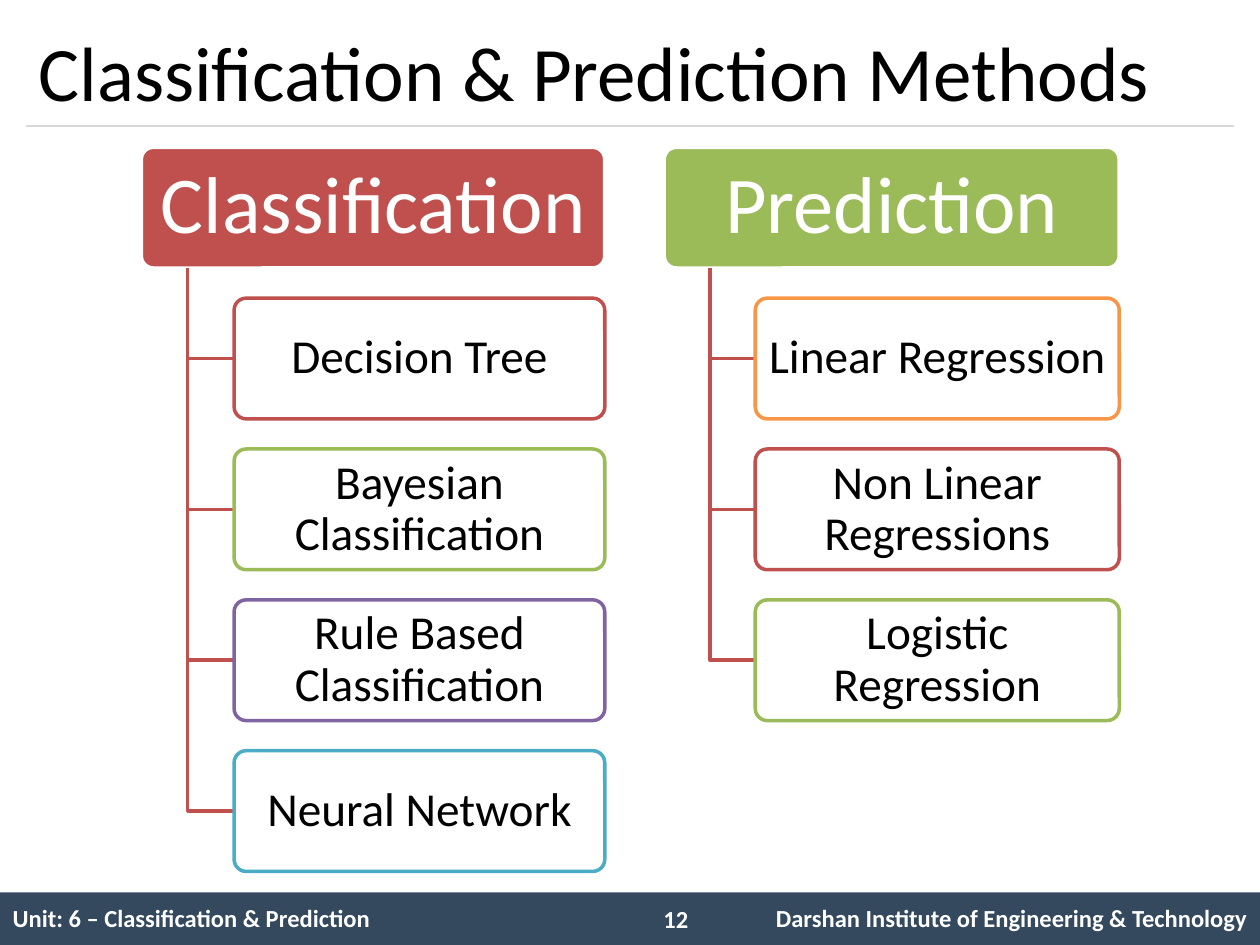
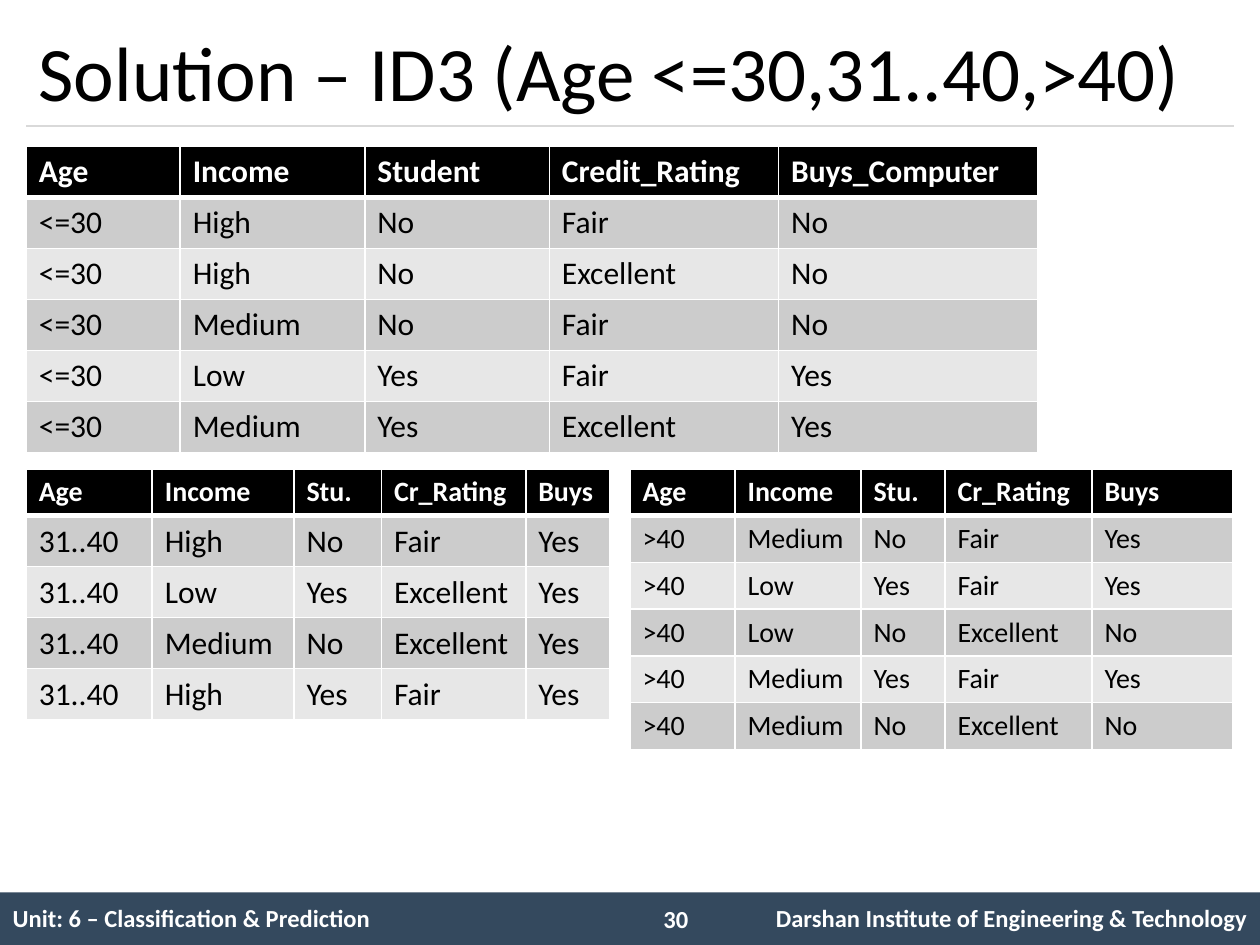
"""Build two lecture slides on classification and prediction."""
from dataclasses import dataclass

from lxml import etree
from pptx import Presentation
from pptx import util as u
from pptx.dml.color import RGBColor
from pptx.enum import shapes, text
from pptx.oxml.ns import qn

Pt = u.Pt


@dataclass(frozen=True)
class Theme:
    font: str = "Calibri"
    black: str = "000000"
    white: str = "FFFFFF"
    band: str = "34495E"
    rule: str = "D9D9D9"
    red: str = "C0504D"
    green: str = "9BBB59"
    purple: str = "8064A2"
    aqua: str = "4BACC6"
    orange: str = "F79646"
    stripes: tuple = ("CCCCCC", "E7E7E7")
    title: int = 44
    heading: int = 46
    method: int = 27
    body: int = 18
    small: int = 16
    footer: int = 14


T = Theme()
WIDTH, HEIGHT = 720, 540
MARGIN = 15
BAND_TOP = 510
NO_STYLE = "{2D5ABB26-0587-4C30-8999-92F81FD0307C}"

TREE_TOP, TREE_PITCH, BOX_HEIGHT = 84.2, 86.2, 69
TREES = [
    (80.8, 264.8, "Classification", T.red, [
        ("Decision Tree", T.red),
        ("Bayesian Classification", T.green),
        ("Rule Based Classification", T.purple),
        ("Neural Network", T.aqua),
    ]),
    (379.6, 260, "Prediction", T.green, [
        ("Linear Regression", T.orange),
        ("Non Linear Regressions", T.red),
        ("Logistic Regression", T.green),
    ]),
]

YOUNG = [
    "Age Income Student Credit_Rating Buys_Computer",
    "<=30 High No Fair No",
    "<=30 High No Excellent No",
    "<=30 Medium No Fair No",
    "<=30 Low Yes Fair Yes",
    "<=30 Medium Yes Excellent Yes",
]
MIDDLE = [
    "Age Income Stu. Cr_Rating Buys",
    "31..40 High No Fair Yes",
    "31..40 Low Yes Excellent Yes",
    "31..40 Medium No Excellent Yes",
    "31..40 High Yes Fair Yes",
]
SENIOR = [
    "Age Income Stu. Cr_Rating Buys",
    ">40 Medium No Fair Yes",
    ">40 Low Yes Fair Yes",
    ">40 Low No Excellent No",
    ">40 Medium Yes Fair Yes",
    ">40 Medium No Excellent No",
]


def rgb(color):
    return RGBColor.from_string(color)


def write(tf, words, size, color, bold=False, align=text.PP_ALIGN.LEFT):
    p = tf.paragraphs[0]
    p.alignment = align
    r = p.add_run()
    r.text = words
    r.font.name, r.font.size, r.font.bold = T.font, Pt(size), bold
    r.font.color.rgb = rgb(color)
    return p


def add_text(s, x, y, w, h, words, size, color, bold=False):
    tf = s.shapes.add_textbox(Pt(x), Pt(y), Pt(w), Pt(h)).text_frame
    tf.word_wrap = True
    tf.vertical_anchor = text.MSO_ANCHOR.MIDDLE
    write(tf, words, size, color, bold)


def add_block(s, kind, x, y, w, h, fill, line=None):
    sp = s.shapes.add_shape(kind, Pt(x), Pt(y), Pt(w), Pt(h))
    sp.shadow.inherit = False
    sp.fill.solid()
    sp.fill.fore_color.rgb = rgb(fill)
    if line:
        sp.line.color.rgb = rgb(line)
        sp.line.width = Pt(2)
    else:
        sp.line.fill.background()
    return sp


def add_box(s, x, y, w, words, size, color, fill, line, inset):
    sp = add_block(s, shapes.MSO_SHAPE.ROUNDED_RECTANGLE, x, y, w, BOX_HEIGHT, fill, line)
    sp.adjustments[0] = 0.1
    tf = sp.text_frame
    tf.word_wrap = True
    tf.vertical_anchor = text.MSO_ANCHOR.MIDDLE
    tf.margin_left = tf.margin_right = Pt(inset)
    tf.margin_top = tf.margin_bottom = Pt(inset * 0.6)
    write(tf, words, size, color, align=text.PP_ALIGN.CENTER).line_spacing = 0.9


def add_elbow(s, x, top, bottom, right):
    fb = s.shapes.build_freeform(Pt(x), Pt(top))
    fb.add_line_segments([(Pt(x), Pt(bottom)), (Pt(right), Pt(bottom))], close=False)
    sp = fb.convert_to_shape()
    sp.shadow.inherit = False
    sp.fill.background()
    sp.line.color.rgb = rgb(T.red)
    sp.line.width = Pt(2)


def add_tree(s, x, w, heading, color, methods):
    add_box(s, x, TREE_TOP, w, heading, T.heading, T.white, color, T.white, 7.2)
    trunk, left = x + 0.1 * w, x + 0.2 * w
    for i, (method, line) in enumerate(methods, 1):
        y = TREE_TOP + i * TREE_PITCH
        add_elbow(s, trunk, TREE_TOP + BOX_HEIGHT, y + BOX_HEIGHT / 2, left)
        add_box(s, left, y, 0.8 * w, method, T.method, T.black, T.white, line, 4.3)


def add_grid(s, x, y, cols, heights):
    tbl = s.shapes.add_table(len(heights), len(cols), Pt(x), Pt(y),
                             Pt(sum(cols)), Pt(sum(heights))).table
    tbl.first_row = tbl.horz_banding = False
    tbl._tbl.tblPr.find(qn("a:tableStyleId")).text = NO_STYLE
    for col, w in zip(tbl.columns, cols):
        col.width = Pt(w)
    for row, h in zip(tbl.rows, heights):
        row.height = Pt(h)
    return tbl


def add_border(cell, side, width):
    ln = etree.SubElement(cell._tc.get_or_add_tcPr(), qn(f"a:ln{side}"), w=str(Pt(width)))
    fill = etree.SubElement(ln, qn("a:solidFill"))
    etree.SubElement(fill, qn("a:srgbClr"), val=T.white)


def add_data(s, x, y, cols, lines, head_size, body_size):
    sizes = [head_size] + [body_size] * (len(lines) - 1)
    tbl = add_grid(s, x, y, cols, [1.22 * size + 7.2 for size in sizes])
    for i, line in enumerate(lines):
        head = i == 0
        fill = T.black if head else T.stripes[(i - 1) % 2]
        for j, value in enumerate(line.split()):
            cell = tbl.cell(i, j)
            for side in "LRTB" if head else "LRB":
                add_border(cell, side, 3 if head and side == "B" else 1)
            cell.fill.solid()
            cell.fill.fore_color.rgb = rgb(fill)
            write(cell.text_frame, value, sizes[i], T.white if head else T.black, head)


def add_rule(s, y):
    c = s.shapes.add_connector(shapes.MSO_CONNECTOR.STRAIGHT,
                               Pt(MARGIN), Pt(y), Pt(WIDTH - MARGIN), Pt(y))
    c.line.color.rgb = rgb(T.rule)
    c.line.width = Pt(0.75)
    etree.SubElement(c._element.spPr, qn("a:effectLst"))


def add_footer(s, number):
    add_block(s, shapes.MSO_SHAPE.RECTANGLE, 0, BAND_TOP, WIDTH, HEIGHT - BAND_TOP, T.band)
    tbl = add_grid(s, 0, BAND_TOP, [366, 48, 306], [30.6])
    for j, words, align in [
        (0, "Unit: 6 – Classification & Prediction", text.PP_ALIGN.LEFT),
        (2, "Darshan Institute of Engineering & Technology", text.PP_ALIGN.RIGHT),
    ]:
        cell = tbl.cell(0, j)
        cell.vertical_anchor = text.MSO_ANCHOR.MIDDLE
        write(cell.text_frame, words, T.footer, T.white, True, align)
    add_text(s, 372, 513, 42, 24.2, number, T.footer, T.white, True)


def add_slide(prs, title, number):
    s = prs.slides.add_slide(prs.slide_layouts[6])
    add_rule(s, 72)
    add_footer(s, number)
    add_text(s, MARGIN, 9, WIDTH - 2 * MARGIN, 63, title, T.title, T.black)
    return s


def main():
    prs = Presentation()
    prs.slide_width, prs.slide_height = Pt(WIDTH), Pt(HEIGHT)

    s = add_slide(prs, "Classification & Prediction Methods", "12")
    for tree in TREES:
        add_tree(s, *tree)

    s = add_slide(prs, "Solution – ID3 (Age <=30,31..40,>40)", "30")
    add_data(s, MARGIN, 83.8, [88, 105.5, 105.5, 131, 148], YOUNG, T.body, T.body)
    add_data(s, MARGIN, 268, [72, 81, 50, 82.5, 48], MIDDLE, T.small, T.body)
    add_data(s, 360, 268, [60, 72, 48, 84, 80.5], SENIOR, T.small, T.small)

    prs.save("out.pptx")


if __name__ == "__main__":
    main()
